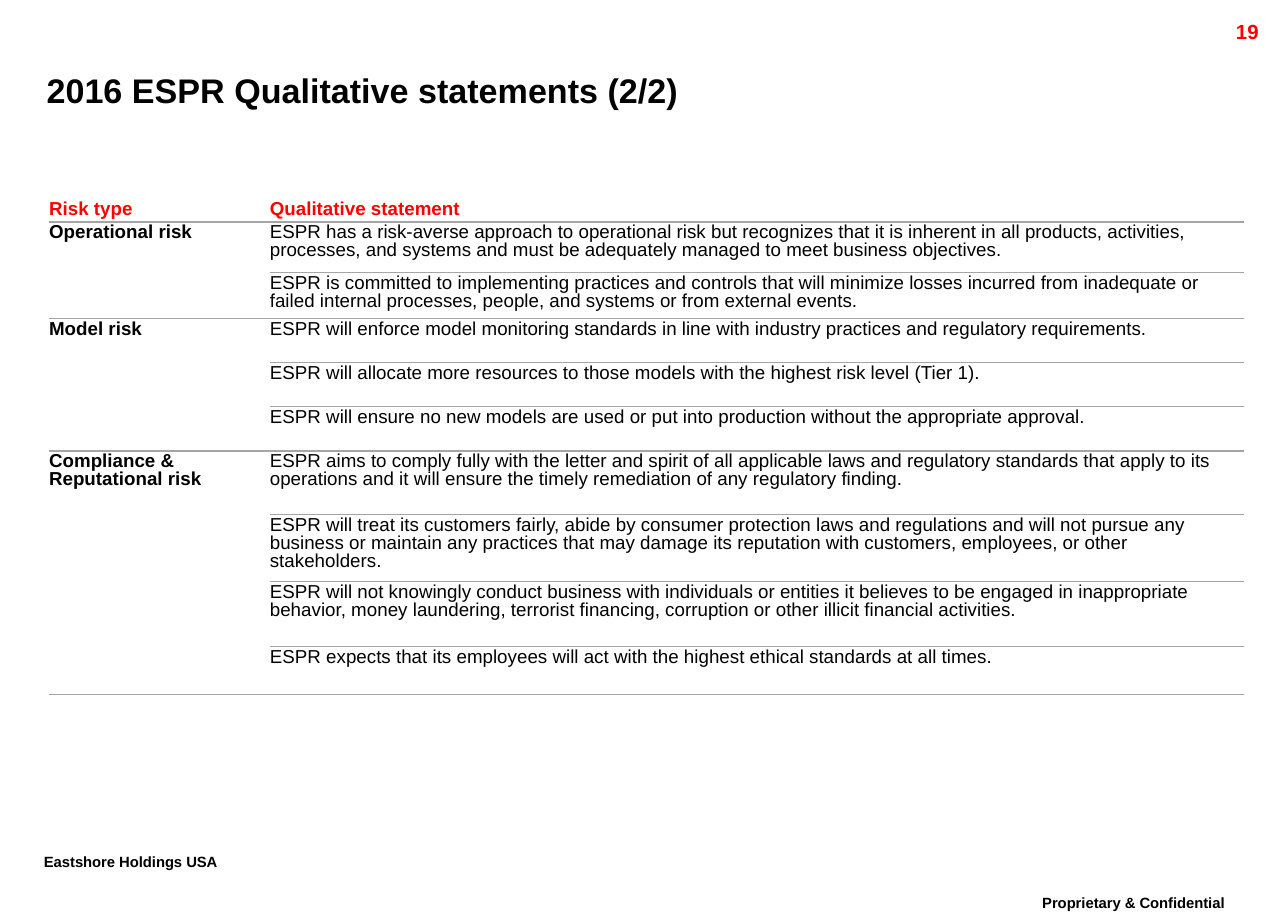
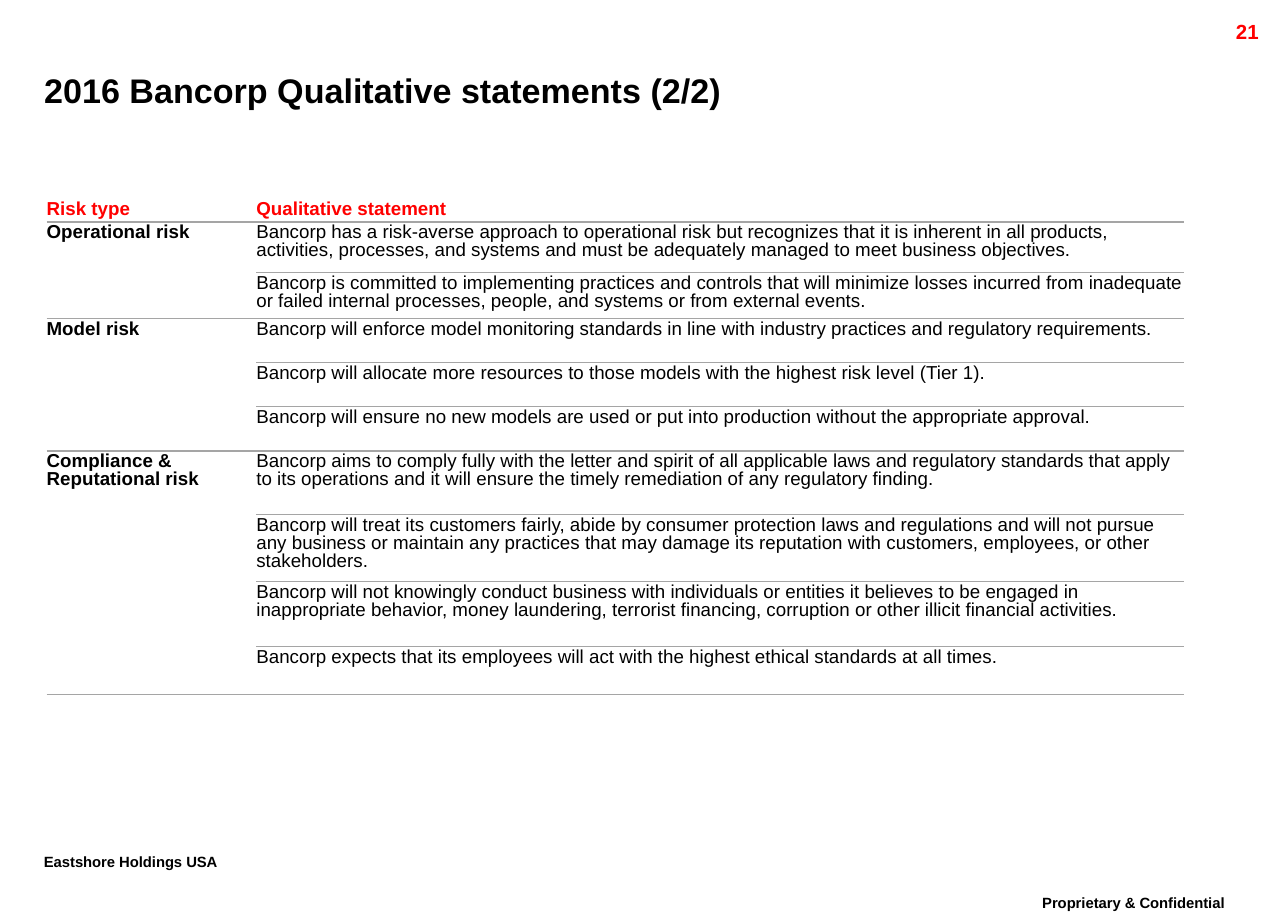
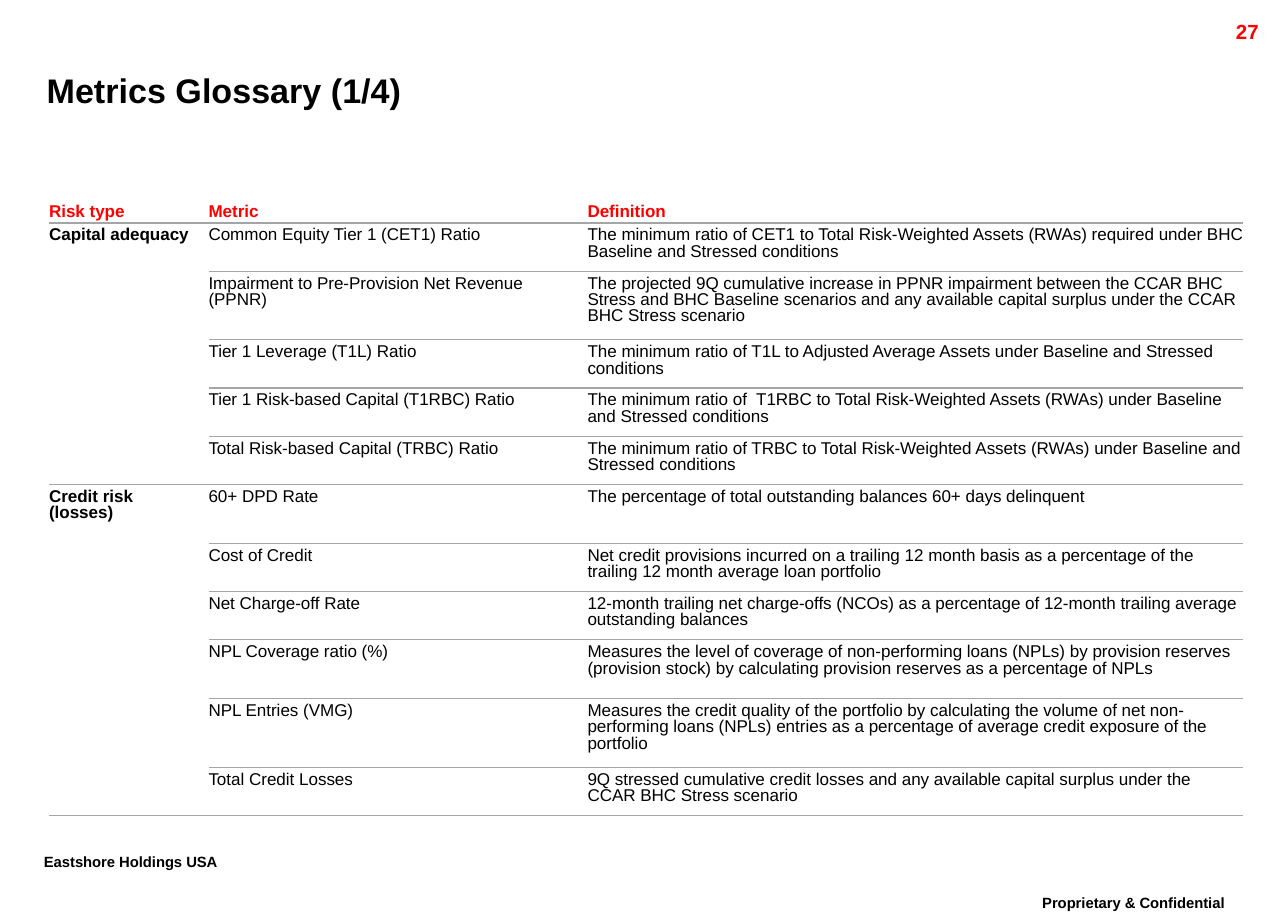
from copy import deepcopy
from dataclasses import dataclass

from lxml.etree import SubElement
from pptx import Presentation
from pptx.dml.color import RGBColor
from pptx.enum.text import MSO_VERTICAL_ANCHOR as Anchor, PP_PARAGRAPH_ALIGNMENT as Align
from pptx.oxml.ns import qn
from pptx.util import Pt


# Theme
@dataclass(frozen=True)
class Theme:
    font: str = "Arial"
    black: str = "000000"
    red: str = "FF0000"
    white: str = "FFFFFF"
    rule: str = "A5A5A5"
    title_size: float = 20
    page_size: float = 12
    footer_size: float = 15
    rule_width: float = 0.75
    line_spacing: float = 0.86
    no_grid_style: str = "{2D5ABB26-0587-4C30-8999-92F81FD0307C}"


THEME = Theme()


# Content types, all lengths in points
@dataclass(frozen=True)
class Label:
    left: float
    top: float
    width: float
    height: float
    size: float
    color: str = THEME.black
    align: Align = Align.LEFT
    anchor: Anchor = Anchor.TOP
    inset: tuple[float, float] = (7.2, 3.6)
    spacing: float = 1.0
    raised: bool = False


@dataclass(frozen=True)
class Group:
    risk: str
    rows: list[tuple[str, ...]]


@dataclass(frozen=True)
class Grid:
    left: float
    top: float
    columns: tuple[float, ...]
    heights: list[float]
    headings: tuple[str, ...]
    groups: list[Group]
    size: float
    top_inset: float
    bottom_inset: float = 1.44


@dataclass(frozen=True)
class Page:
    number: int
    title: str
    title_left: float
    title_width: float
    grid: Grid


# Shared frame of every slide
CONFIDENTIAL = Label(586.8, 522, 156.96, 25.2, THEME.footer_size, align=Align.CENTER,
                     spacing=THEME.line_spacing, raised=True)
COMPANY = Label(18.72, 497.52, 137.52, 25.2, THEME.footer_size,
                spacing=THEME.line_spacing, raised=True)
PAGE_NUMBER = Label(673.92, 7.92, 72, 17.28, THEME.page_size, THEME.red, Align.RIGHT)


def write(paragraph, text: str, size: float, color: str, bold: bool,
          spacing: float, raised: bool = False) -> None:
    paragraph.text = text
    paragraph.line_spacing = spacing
    for run in paragraph.runs:
        values = {"name": THEME.font, "size": Pt(size), "bold": bold}
        for name, value in values.items():
            setattr(run.font, name, value)
        run.font.color.rgb = RGBColor.from_string(color)
        if raised:
            run._r.get_or_add_rPr().set("baseline", "30000")
    # Line breaks take the format of the text around them
    for line_break in paragraph._p.findall(qn("a:br")):
        line_break.append(deepcopy(paragraph.runs[0]._r.get_or_add_rPr()))


def add_label(slide, label: Label, text: str) -> None:
    shape = slide.shapes.add_textbox(
        Pt(label.left), Pt(label.top), Pt(label.width), Pt(label.height))
    side, end = map(Pt, label.inset)
    values = {"word_wrap": True, "vertical_anchor": label.anchor,
              "margin_left": side, "margin_right": side,
              "margin_top": end, "margin_bottom": end}
    for name, value in values.items():
        setattr(shape.text_frame, name, value)
    paragraph = shape.text_frame.paragraphs[0]
    paragraph.alignment = label.align
    write(paragraph, text, label.size, label.color, True, label.spacing, label.raised)


# Tables
def set_borders(cell, ruled: str) -> None:
    properties = cell._tc.get_or_add_tcPr()
    for side in "LRTB":
        line = SubElement(properties, qn(f"a:ln{side}"), w=str(Pt(THEME.rule_width)))
        if side in ruled:
            fill = SubElement(line, qn("a:solidFill"))
            SubElement(fill, qn("a:srgbClr"), val=THEME.rule)
        else:
            SubElement(line, qn("a:noFill"))


def fill_cell(cell, grid: Grid, text: str, color: str = THEME.black,
              bold: bool = False, header: bool = False) -> None:
    values = {"margin_left": 0, "margin_right": 0,
              "margin_top": Pt(grid.top_inset), "margin_bottom": Pt(grid.bottom_inset),
              "vertical_anchor": Anchor.BOTTOM if header else Anchor.TOP}
    for name, value in values.items():
        setattr(cell, name, value)
    set_borders(cell, "B" if header else "TB")
    cell.fill.solid()
    cell.fill.fore_color.rgb = RGBColor.from_string(THEME.white)
    write(cell.text_frame.paragraphs[0], text, grid.size, color, bold, THEME.line_spacing)


def add_grid(slide, grid: Grid) -> None:
    frame = slide.shapes.add_table(
        len(grid.heights), len(grid.columns), Pt(grid.left), Pt(grid.top),
        Pt(sum(grid.columns)), Pt(sum(grid.heights)))
    table = frame.table
    table.first_row = table.horz_banding = False
    table._tbl.tblPr.find(qn("a:tableStyleId")).text = THEME.no_grid_style
    for column, width in zip(table.columns, grid.columns):
        column.width = Pt(width)
    for row, height in zip(table.rows, grid.heights):
        row.height = Pt(height)

    for index, heading in enumerate(grid.headings):
        fill_cell(table.cell(0, index), grid, heading, THEME.red, bold=True, header=True)
    first = 1
    for group in grid.groups:
        last = first + len(group.rows) - 1
        table.cell(first, 0).merge(table.cell(last, 0))
        fill_cell(table.cell(first, 0), grid, group.risk, bold=True)
        for row_index, texts in enumerate(group.rows, first):
            for column_index, text in enumerate(texts, 1):
                fill_cell(table.cell(row_index, column_index), grid, text)
        first = last + 1


def add_page(presentation, page: Page) -> None:
    slide = presentation.slides.add_slide(presentation.slide_layouts[6])
    add_label(slide, CONFIDENTIAL, "Proprietary & Confidential")
    add_label(slide, COMPANY, "Eastshore Holdings USA")
    add_label(slide, PAGE_NUMBER, str(page.number))
    title = Label(page.title_left, 35.28, page.title_width, 34.56, THEME.title_size,
                  anchor=Anchor.MIDDLE, inset=(0, 0))
    add_label(slide, title, page.title)
    add_grid(slide, page.grid)


# Qualitative statements, worded alike for each entity
STATEMENTS = {
    "Operational risk": [
        "has a risk-averse approach to operational risk but recognizes that it is inherent in all "
        "products, activities, processes, and systems and must be adequately managed to meet "
        "business objectives.",
        "is committed to implementing practices and controls that will minimize losses incurred "
        "from inadequate or failed internal processes, people, and systems or from external "
        "events.",
    ],
    "Model risk": [
        "will enforce model monitoring standards in line with industry practices and regulatory "
        "requirements.",
        "will allocate more resources to those models with the highest risk level (Tier 1).",
        "will ensure no new models are used or put into production without the appropriate "
        "approval.",
    ],
    "Compliance & Reputational risk": [
        "aims to comply fully with the letter and spirit of all applicable laws and regulatory "
        "standards that apply to its operations and it will ensure the timely remediation of any "
        "regulatory finding.",
        "will treat its customers fairly, abide by consumer protection laws and regulations and "
        "will not pursue any business or maintain any practices that may damage its reputation "
        "with customers, employees, or other stakeholders.",
        "will not knowingly conduct business with individuals or entities it believes to be "
        "engaged in inappropriate behavior, money laundering, terrorist financing, corruption or "
        "other illicit financial activities.",
        "expects that its employees will act with the highest ethical standards at all times.",
    ],
}
STATEMENT_HEIGHTS = [14.4, 29.6, 27.2, 25.9, 25.9, 25.9, 37.5, 39.2, 38.2, 28.1]


def statement_page(number: int, entity: str, title_left: float, title_width: float,
                   left: float, columns: tuple[float, float]) -> Page:
    groups = [Group(risk, [(f"{entity} {statement}",) for statement in statements])
              for risk, statements in STATEMENTS.items()]
    grid = Grid(left, 115.92, columns, STATEMENT_HEIGHTS,
                ("Risk type", "Qualitative statement"), groups, size=11, top_inset=1.44)
    return Page(number, f"2016 {entity} Qualitative statements (2/2)",
                title_left, title_width, grid)


# Metrics glossary
GLOSSARY = [
    Group("Capital adequacy", [
        ("Common Equity Tier 1 (CET1) Ratio",
         "The minimum ratio of CET1 to Total Risk-Weighted Assets (RWAs) required under BHC "
         "Baseline and Stressed conditions"),
        ("Impairment to Pre-Provision Net Revenue \v(PPNR)",
         "The projected 9Q cumulative increase in PPNR impairment between the CCAR BHC Stress "
         "and BHC Baseline scenarios and any available capital surplus under the CCAR BHC "
         "Stress scenario"),
        ("Tier 1 Leverage (T1L) Ratio",
         "The minimum ratio of T1L to Adjusted Average Assets under Baseline and Stressed "
         "conditions"),
        ("Tier 1 Risk-based Capital (T1RBC) Ratio",
         "The minimum ratio of  T1RBC to Total Risk-Weighted Assets (RWAs) under Baseline and "
         "Stressed conditions"),
        ("Total Risk-based Capital (TRBC) Ratio",
         "The minimum ratio of TRBC to Total Risk-Weighted Assets (RWAs) under Baseline and "
         "Stressed conditions"),
    ]),
    Group("Credit risk \v(losses)", [
        ("60+ DPD Rate",
         "The percentage of total outstanding balances 60+ days delinquent"),
        ("Cost of Credit",
         "Net credit provisions incurred on a trailing 12 month basis as a percentage of the "
         "trailing 12 month average loan portfolio"),
        ("Net Charge-off Rate",
         "12-month trailing net charge-offs (NCOs) as a percentage of 12-month trailing average "
         "outstanding balances"),
        ("NPL Coverage ratio (%)",
         "Measures the level of coverage of non-performing loans (NPLs) by provision reserves "
         "(provision stock) by calculating provision reserves as a percentage of NPLs"),
        ("NPL Entries (VMG)",
         "Measures the credit quality of the portfolio by calculating the volume of net "
         "non-performing loans (NPLs) entries as a percentage of average credit exposure of the "
         "portfolio"),
        ("Total Credit Losses",
         "9Q stressed cumulative credit losses and any available capital surplus under the CCAR "
         "BHC Stress scenario"),
    ]),
]
SHORT, MEDIUM, TALL = 28.3, 34.6, 40.3
GLOSSARY_HEIGHTS = [15.7, SHORT, TALL, SHORT, SHORT, SHORT,
                    MEDIUM, SHORT, SHORT, MEDIUM, TALL, SHORT]
GLOSSARY_GRID = Grid(28.8, 115.2, (93.6, 222.48, 384.48), GLOSSARY_HEIGHTS,
                     ("Risk type", "Metric", "Definition"), GLOSSARY, size=10, top_inset=2.88)

PAGES = [
    statement_page(19, "ESPR", 27.36, 682.56, 28.8, (129.6, 571.68)),
    statement_page(21, "Bancorp", 25.92, 649.44, 27.36, (123.12, 544.32)),
    Page(27, "Metrics Glossary (1/4)", 27.36, 682.56, GLOSSARY_GRID),
]


def main() -> None:
    presentation = Presentation()
    presentation.slide_width, presentation.slide_height = Pt(756), Pt(540)
    for page in PAGES:
        add_page(presentation, page)
    presentation.save("out.pptx")


if __name__ == "__main__":
    main()
